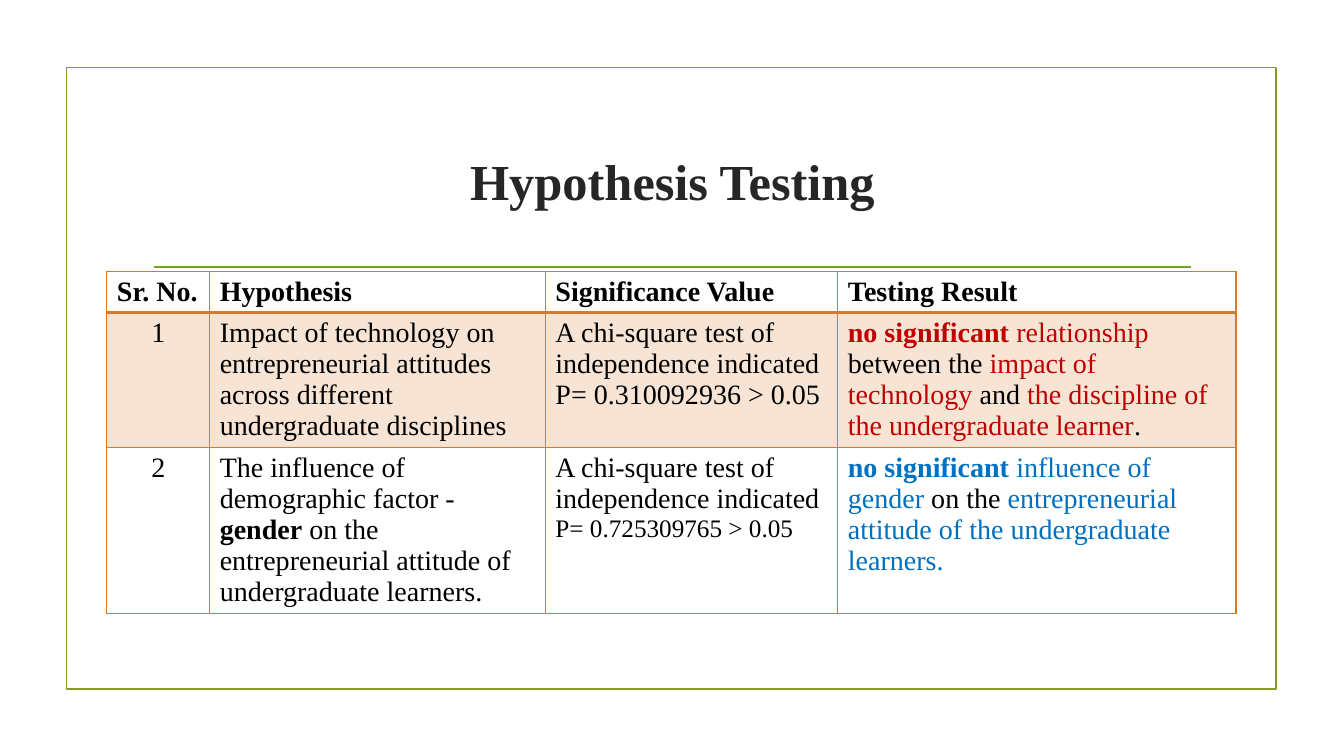
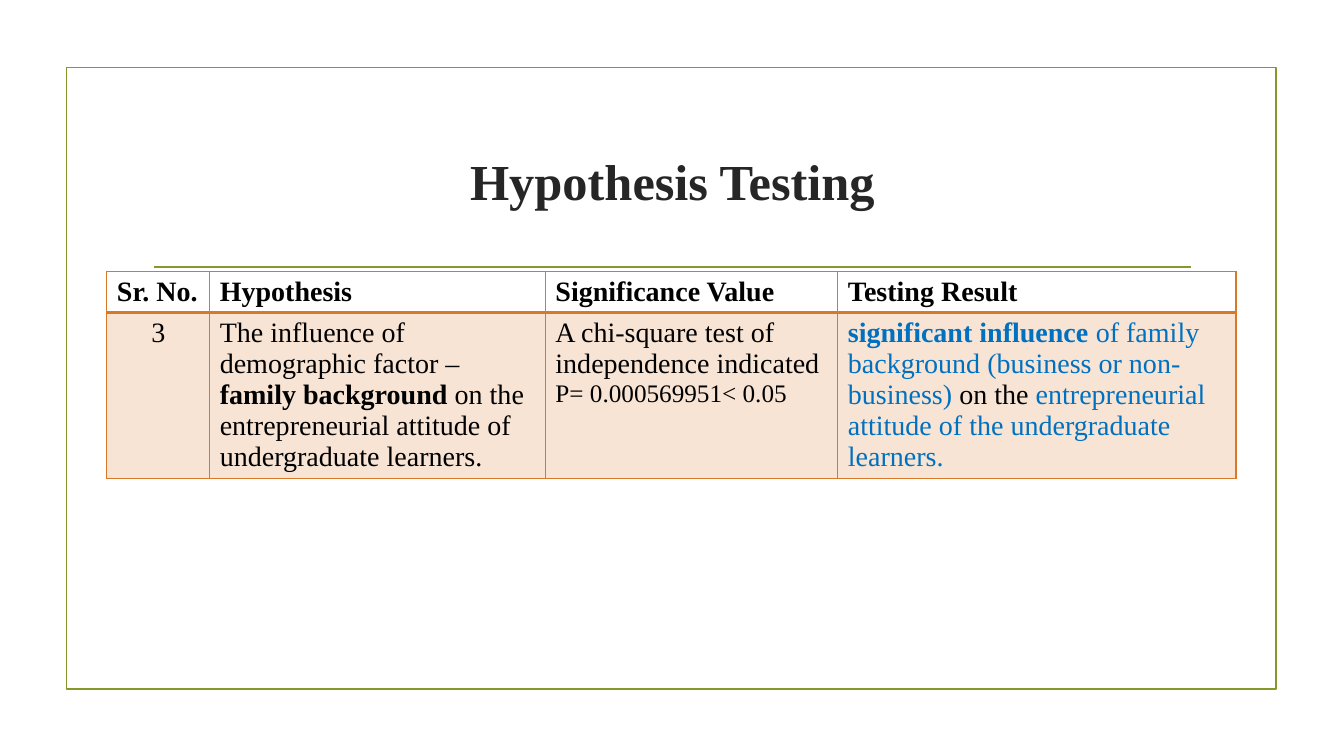
from dataclasses import dataclass
from typing import NamedTuple

from lxml import etree
from pptx import Presentation
from pptx import util as u
from pptx.dml import color as dml
from pptx.enum import shapes as es, text as et
from pptx.oxml import ns

FONT = "Times New Roman"
GREEN, ORANGE, INK = "83992A", "D97828", "262626"
BLACK, RED, BLUE = "000000", "C00000", "0070C0"
WIDTH, HEIGHT = u.Inches(13.33), u.Inches(7.5)

# Table grid, in percent of the slide's width and height
COLUMNS = (7.65, 24.98, 21.76, 29.63)
TABLE_LEFT, TABLE_TOP = 7.95, 35.87
TEXT_LINE, ROW_PADDING = 4.13, 1.33
HEADINGS = ("Sr. No.", "Hypothesis", "Significance Value", "Testing Result")


class Part(NamedTuple):
    text: str
    color: str = BLACK
    bold: bool = False
    size: int = 20


@dataclass
class Finding:
    number: int
    hypothesis: list[Part]
    p_value: Part
    result: list[Part]
    lines: int

    def cells(self) -> list[list[list[Part]]]:
        """Paragraphs of each column."""
        test = Part("A chi-square test of independence indicated")
        return [[[Part(str(self.number))]], [self.hypothesis],
                [[test], [self.p_value]], [self.result]]


def demographic(dash: str, factor: str) -> list[Part]:
    return [Part(f"The influence of demographic factor {dash} "), Part(factor, bold=True),
            Part(" on the entrepreneurial attitude of undergraduate learners.")]


def influence(strong: str, rest: str) -> list[Part]:
    return [Part(strong, BLUE, True), Part(rest, BLUE), Part("on the "),
            Part("entrepreneurial attitude of the undergraduate learners.", BLUE)]


SLIDES = [
    [Finding(1, [Part("Impact of technology on entrepreneurial attitudes "
                      "across different undergraduate disciplines")],
             Part("P= 0.310092936 > 0.05"),
             [Part("no significant ", RED, True), Part("relationship ", RED),
              Part("between the "), Part("impact of technology ", RED), Part("and "),
              Part("the discipline of the undergraduate learner", RED), Part(".")], 4),
     Finding(2, demographic("-", "gender"), Part("P= 0.725309765 > 0.05", size=18),
             influence("no significant ", "influence of gender "), 5)],
    [Finding(3, demographic("–", "family background"),
             Part("P= 0.000569951< 0.05", size=18),
             influence("significant influence ",
                       "of family background (business or non-business) "), 5)],
]


def x(percent: float) -> int:
    return round(WIDTH * percent / 100)


def y(percent: float) -> int:
    return round(HEIGHT * percent / 100)


def rgb(value: str) -> dml.RGBColor:
    return dml.RGBColor.from_string(value)


def write(paragraph, parts: list[Part], align=et.PP_ALIGN.LEFT) -> None:
    paragraph.alignment = align
    for part in parts:
        run = paragraph.add_run()
        run.text = part.text
        style = {"name": FONT, "size": u.Pt(part.size), "bold": part.bold}
        for name, value in style.items():
            setattr(run.font, name, value)
        run.font.color.rgb = rgb(part.color)


def add_decoration(slide, layout) -> None:
    """Draw the frame and title rule, then hand them to the shared layout."""
    frame = slide.shapes.add_shape(es.MSO_SHAPE.RECTANGLE, x(4.95), y(8.93), x(90.02), y(82.27))
    frame.shadow.inherit = False
    frame.fill.background()
    rule = slide.shapes.add_connector(es.MSO_CONNECTOR.STRAIGHT,
                                      x(11.48), y(35.33), x(88.6), y(35.33))
    for outline in (frame, rule):
        outline.line.color.rgb = rgb(GREEN)
        outline.line.width = u.Pt(1.25)
    etree.SubElement(rule._element.spPr, ns.qn("a:effectLst"))
    for outline in (frame, rule):
        layout.shapes._spTree.append(outline._element)


def add_title(slide) -> None:
    title = slide.shapes.title
    place = {"left": x(10.65), "top": y(14.27), "width": x(78.77), "height": y(19.07)}
    for name, value in place.items():
        setattr(title, name, value)
    title.text_frame.vertical_anchor = et.MSO_ANCHOR.MIDDLE
    write(title.text_frame.paragraphs[0],
          [Part("Hypothesis Testing", INK, True, 36)], et.PP_ALIGN.CENTER)


def set_borders(cell, top: float, bottom: float) -> None:
    properties = cell._tc.get_or_add_tcPr()
    for side, points in {"L": 1, "R": 1, "T": top, "B": bottom}.items():
        border = etree.SubElement(properties, ns.qn(f"a:ln{side}"), w=str(u.Pt(points)))
        fill = etree.SubElement(border, ns.qn("a:solidFill"))
        etree.SubElement(fill, ns.qn("a:srgbClr"), val=ORANGE)


def set_tint(cell) -> None:
    cell.fill.solid()
    cell.fill.fore_color.rgb = rgb(ORANGE)
    tint = cell._tc.tcPr.find(".//" + ns.qn("a:srgbClr") + "/..[last()]")
    tint = cell._tc.tcPr.find(ns.qn("a:solidFill")) if tint is None else tint
    color = cell._tc.tcPr.find(ns.qn("a:solidFill"))[0]
    etree.SubElement(color, ns.qn("a:alpha"), val="20000")


def add_findings(slide, findings: list[Finding]) -> None:
    header = [[[Part(heading, bold=True)]] for heading in HEADINGS]
    rows = [header] + [finding.cells() for finding in findings]
    heights = [y(ROW_PADDING + TEXT_LINE * lines)
               for lines in [1] + [finding.lines for finding in findings]]
    table = slide.shapes.add_table(len(rows), len(COLUMNS), x(TABLE_LEFT), y(TABLE_TOP),
                                   x(sum(COLUMNS)), sum(heights)).table
    table.first_row = table.horz_banding = False
    for column, share in zip(table.columns, COLUMNS):
        column.width = x(share)
    for r, (contents, height) in enumerate(zip(rows, heights)):
        table.rows[r].height = height
        for c, paragraphs in enumerate(contents):
            cell = table.cell(r, c)
            set_borders(cell, top=2 if r == 1 else 1, bottom=2 if r == 0 else 1)
            if r % 2:
                set_tint(cell)
            else:
                cell.fill.background()
            align = et.PP_ALIGN.CENTER if r and c == 0 else et.PP_ALIGN.LEFT
            for i, parts in enumerate(paragraphs):
                frame = cell.text_frame
                write(frame.add_paragraph() if i else frame.paragraphs[0], parts, align)


def main() -> None:
    deck = Presentation()
    deck.slide_width, deck.slide_height = WIDTH, HEIGHT
    layout = deck.slide_layouts[5]
    for i, findings in enumerate(SLIDES):
        slide = deck.slides.add_slide(layout)
        if i == 0:
            add_decoration(slide, layout)
        add_title(slide)
        add_findings(slide, findings)
    deck.save("out.pptx")


if __name__ == "__main__":
    main()
